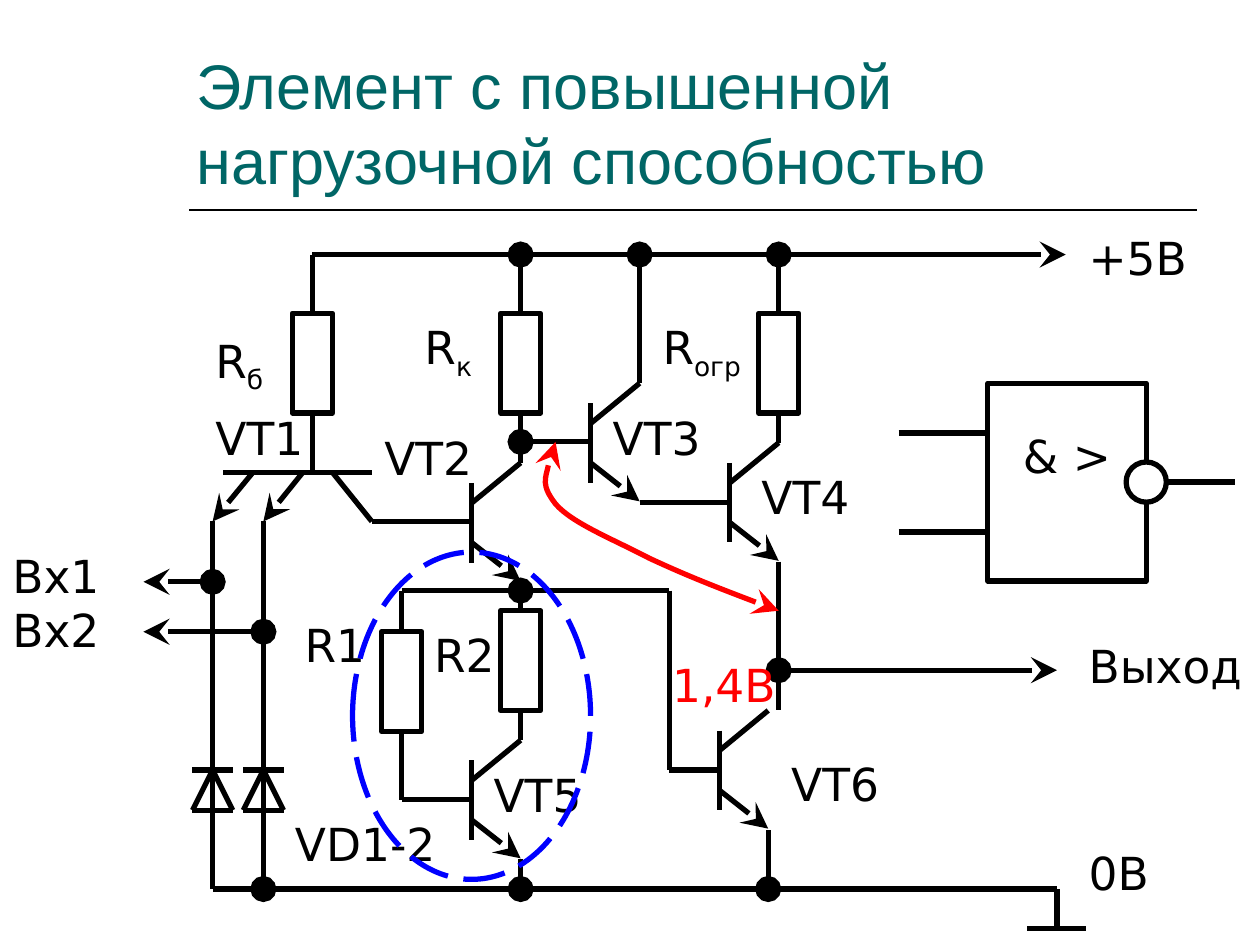
"""Build a slide with the circuit of a logic gate of raised load capacity."""
from dataclasses import dataclass

from lxml.etree import SubElement
from pptx import Presentation
from pptx.dml.color import RGBColor
from pptx.enum.dml import MSO_LINE
from pptx.enum.shapes import MSO_CONNECTOR, MSO_SHAPE
from pptx.enum.text import MSO_ANCHOR, MSO_AUTO_SIZE, PP_ALIGN
from pptx.oxml.ns import qn
from pptx.util import Pt

HUES = {"ink": "000000", "title": "006666", "paper": "FFFFFF",
        "loop": "0000FF", "drop": "FF0000"}
FONT = "DejaVu Sans"
SIZE = 26


@dataclass
class Wire:
    points: list
    start: str = ""
    end: str = ""
    width: float = 3


@dataclass
class Label:
    text: str
    left: float
    top: float
    width: float = 73
    sub: str = ""
    hue: str = "ink"


WIRES = [
    Wire([(108, 120), (684, 120)], width=1),
    Wire([(178.5, 179), (178.5, 145.5), (609, 145.5)], end="stealth"),
    Wire([(178.5, 236), (178.5, 270)]),
    Wire([(127.5, 270), (212.5, 270)]),
    Wire([(144.5, 270), (121.5, 298)], end="stealth"),
    Wire([(173, 270), (150.5, 298)], end="stealth"),
    Wire([(190, 270), (212.5, 298), (269.5, 298)]),
    Wire([(121.5, 332.5), (82, 332.5)], "oval", "stealth"),
    Wire([(150.5, 361), (82, 361)], "oval", "stealth"),
    Wire([(150.5, 298), (150.5, 508)], end="oval"),
    Wire([(121.5, 298), (121.5, 508), (604, 508), (604, 530.5)]),
    Wire([(587, 530.5), (620.5, 530.5)]),
    Wire([(297.5, 179), (297.5, 145.5)], end="oval"),
    Wire([(297.5, 236), (297.5, 264.5)]),
    Wire([(337.5, 252.5), (297.5, 252.5)], end="oval"),
    Wire([(365.5, 219), (365.5, 145.5)], end="oval"),
    Wire([(365.5, 287), (417, 287)]),
    Wire([(445, 179), (445, 145.5)], end="oval"),
    Wire([(445, 236), (445, 253)]),
    Wire([(445, 321), (445, 406)]),
    Wire([(445, 383), (604, 383)], "oval", "stealth"),
    Wire([(439, 474.5), (439, 508)], end="oval"),
    Wire([(229.5, 361), (229.5, 337.5), (382.5, 337.5),
          (382.5, 440), (411, 440)]),
    Wire([(297.5, 349), (297.5, 337.5)], end="oval"),
    Wire([(229.5, 417.5), (229.5, 457), (269.5, 457)]),
    Wire([(297.5, 406), (297.5, 423)]),
    Wire([(297.5, 491), (297.5, 508)], end="oval"),
    Wire([(513.5, 247.5), (564.5, 247.5)]),
    Wire([(513.5, 304), (564.5, 304)]),
    Wire([(655, 275.5), (705.5, 275.5)]),
]
LABELS = [
    Label("+5В", 615, 128),
    Label("Вх1\nВх2", 0, 309.5),
    Label("R", 116, 186.5, 52, "б"),
    Label("R", 235.5, 179, 52, "к"),
    Label("R", 371.5, 179, 63, "огр"),
    Label("VT1", 116, 230.5),
    Label("VT2", 212.5, 242),
    Label("VT3", 343, 230.5),
    Label("VT4", 428, 264.5),
    Label("VT5", 275, 434.5),
    Label("VT6", 445, 428.5),
    Label("R1", 167, 349, 52),
    Label("R2", 241, 355, 52),
    Label("VD1-2", 161.5, 463, 130),
    Label("Выход", 615, 361, 105),
    Label("0В", 615, 479.5),
    Label("1,4В", 377, 372, 91, hue="drop"),
]
RESISTORS = [(178.5, 179), (297.5, 179), (445, 179),
             (229.5, 361), (297.5, 349)]
TRANSISTORS = [(269.5, 276), (337.5, 230.5), (417, 264.5),
               (269.5, 434.5), (411, 417.5)]
DIODES = [121.5, 150.5]
ARC = [(317.5, 252.5), (313, 265), (309, 277), (317.5, 288),
       (327, 299), (350, 308), (371, 319), (392.5, 329),
       (418, 339), (445, 349)]


def tint(name: str) -> RGBColor:
    return RGBColor.from_string(HUES[name])


def mark(line, start: str, end: str) -> None:
    ln = line._get_or_add_ln()
    for tag, kind in (("a:headEnd", start), ("a:tailEnd", end)):
        if kind:
            SubElement(ln, qn(tag), type=kind, w="lg", len="lg")


def pen(line, hue: str = "ink", width: float = 3) -> None:
    line.color.rgb = tint(hue)
    line.width = Pt(width)


def draw_wire(shapes, wire: Wire) -> None:
    last = len(wire.points) - 2
    for i, (a, b) in enumerate(zip(wire.points, wire.points[1:])):
        part = shapes.add_connector(MSO_CONNECTOR.STRAIGHT,
                                    *map(Pt, (*a, *b)))
        pen(part.line, width=wire.width)
        mark(part.line, wire.start if i == 0 else "",
             wire.end if i == last else "")
        SubElement(part._element.spPr, qn("a:effectLst"))


def draw_shape(shapes, kind, box: tuple, fill: str = "", hue: str = "ink"):
    shape = shapes.add_shape(kind, *map(Pt, box))
    shape.shadow.inherit = False
    if fill:
        shape.fill.solid()
        shape.fill.fore_color.rgb = tint(fill)
    else:
        shape.fill.background()
    pen(shape.line, hue)
    return shape


def style(para, hue: str, size: float = SIZE, name: str = FONT) -> None:
    para.font.size = Pt(size)
    para.font.name = name
    para.font.color.rgb = tint(hue)


def draw_label(shapes, label: Label) -> None:
    box = shapes.add_textbox(*map(Pt, (label.left, label.top,
                                       label.width, 39)))
    frame = box.text_frame
    frame.word_wrap = True
    para = frame.paragraphs[0]
    para.text = label.text
    style(para, label.hue)
    if label.sub:
        run = para.add_run()
        run.text = label.sub
        run._r.get_or_add_rPr().set("baseline", "-25000")


def draw_transistor(shapes, x: float, y: float) -> None:
    draw_wire(shapes, Wire([(x, y), (x, y + 45.5)]))
    draw_wire(shapes, Wire([(x, y + 11.5), (x + 28, y - 11.5)]))
    draw_wire(shapes, Wire([(x, y + 34), (x + 28, y + 56)], end="stealth"))


def draw_diode(shapes, x: float, top: float = 440) -> None:
    low, half = top + 23, 11.5
    draw_wire(shapes, Wire([(x - half, top), (x + half, top)]))
    draw_wire(shapes, Wire([(x - half, low), (x + half, low),
                            (x, top), (x - half, low)]))


def draw_arc(shapes, points: list) -> None:
    spots = [(Pt(x), Pt(y)) for x, y in points]
    pencil = shapes.build_freeform(*spots[0])
    pencil.add_line_segments(spots[1:], close=False)
    shape = pencil.convert_to_shape()
    shape.shadow.inherit = False
    shape.fill.background()
    pen(shape.line, "drop")
    mark(shape.line, "stealth", "stealth")
    track = shape._element.find(".//" + qn("a:path"))
    steps = track.findall(qn("a:lnTo"))
    for i in range(0, len(steps), 3):
        curve = SubElement(track, qn("a:cubicBezTo"))
        for step in steps[i:i + 3]:
            curve.append(step[0])
            track.remove(step)


def draw_gate(shapes) -> None:
    gate = draw_shape(shapes, MSO_SHAPE.RECTANGLE,
                      (564.5, 219, 90.5, 113), "paper")
    frame = gate.text_frame
    frame.vertical_anchor = MSO_ANCHOR.MIDDLE
    frame.margin_bottom = Pt(34)
    para = frame.paragraphs[0]
    para.text = "& >"
    para.alignment = PP_ALIGN.CENTER
    style(para, "ink")


def draw_title(shapes) -> None:
    title = shapes.title
    title.left, title.top, title.width, title.height = map(
        Pt, (105, 3.5, 576, 113))
    frame = title.text_frame
    frame.auto_size = MSO_AUTO_SIZE.NONE
    frame.vertical_anchor = MSO_ANCHOR.BOTTOM
    para = frame.paragraphs[0]
    para.text = "Элемент с повышенной нагрузочной способностью"
    para.alignment = PP_ALIGN.LEFT
    style(para, "title", 36, "Arial")


def main() -> None:
    deck = Presentation()
    deck.slide_width, deck.slide_height = Pt(720), Pt(540)
    shapes = deck.slides.add_slide(deck.slide_layouts[5]).shapes
    draw_title(shapes)
    for x, y in RESISTORS:
        draw_shape(shapes, MSO_SHAPE.RECTANGLE,
                   (x - 11.5, y, 23, 57), "paper")
    draw_gate(shapes)
    for wire in WIRES:
        draw_wire(shapes, wire)
    for x, y in TRANSISTORS:
        draw_transistor(shapes, x, y)
    for x in DIODES:
        draw_diode(shapes, x)
    draw_shape(shapes, MSO_SHAPE.OVAL, (643.5, 264, 23, 23), "paper")
    for label in LABELS:
        draw_label(shapes, label)
    draw_arc(shapes, ARC)
    loop = draw_shape(shapes, MSO_SHAPE.OVAL,
                      (201.5, 315.5, 136, 187), hue="loop")
    loop.line.dash_style = MSO_LINE.LONG_DASH
    deck.save("out.pptx")


if __name__ == "__main__":
    main()
